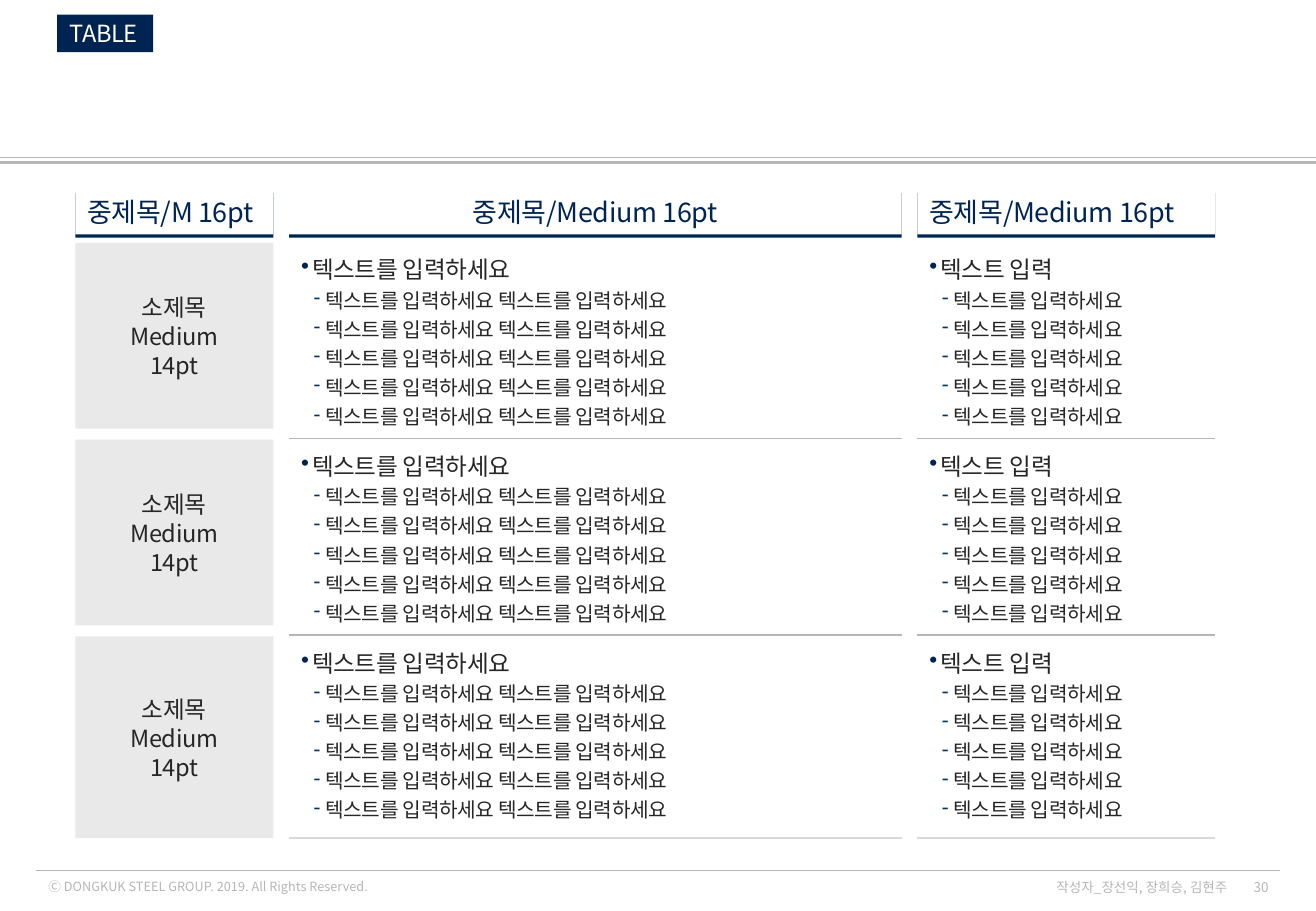
import pptx
import pptx.dml.color
import pptx.enum.shapes
import pptx.enum.text
import pptx.oxml
import pptx.oxml.ns
import pptx.util
from lxml import etree

FONT = "Noto Sans CJK KR"
NAVY, BLUE, INK = "002452", "003760", "262626"
GRAY, PALE, PANEL, WHITE = "B6B6B6", "D9D9D9", "E9E9E9", "FFFFFF"
WIDTH, HEIGHT = 10.83, 7.5

# Each column is a left edge and a width; rows share one pitch.
COLUMNS = [(0.62, 1.63), (2.38, 5.04), (7.55, 2.45)]
ROW_TOP, ROW_PITCH, ROW_COUNT = 2, 1.62, 3
ROW_HEIGHT, LAST_HEIGHT = 1.53, 1.66
HEADING_TOP, HEADING_HEIGHT = 1.56, 0.37
HEADINGS = ["중제목/M 16pt", "중제목/Medium 16pt", "중제목/Medium 16pt"]
LABEL = ["소제목", "Medium", "14pt"]
DETAIL = "텍스트를 입력하세요"
LISTS = [("텍스트를 입력하세요", f"{DETAIL} {DETAIL}"), ("텍스트 입력", DETAIL)]
DETAIL_COUNT = 5

ALIGN = pptx.enum.text.PP_ALIGN
ANCHOR = pptx.enum.text.MSO_ANCHOR


def color(value):
    return pptx.dml.color.RGBColor.from_string(value)


def inches(*lengths):
    return [pptx.util.Inches(length) for length in lengths]


def place(box, left, top, width, height):
    box.left, box.top, box.width, box.height = inches(left, top, width, height)


def add_bullet(para, mark, mark_color, margin, indent):
    properties = para._p.get_or_add_pPr()
    properties.set("marL", str(pptx.util.Inches(margin)))
    properties.set("indent", str(pptx.util.Inches(indent)))
    bullet_color = etree.SubElement(properties, pptx.oxml.ns.qn("a:buClr"))
    etree.SubElement(bullet_color, pptx.oxml.ns.qn("a:srgbClr"), val=mark_color)
    etree.SubElement(properties, pptx.oxml.ns.qn("a:buChar"), char=mark)


def write(para, text, size=14, ink=INK, align=ALIGN.LEFT, leading=None, spacing=-20):
    """Add one formatted span; leading is in points, spacing in hundredths of one."""
    para.alignment = align
    para.space_before = pptx.util.Pt(0)
    if leading:
        para.line_spacing = pptx.util.Pt(leading)
    span = para.add_run()
    span.text = text
    span.font.name = FONT
    span.font.size = pptx.util.Pt(size)
    span.font.bold = False
    span.font.color.rgb = color(ink)
    properties = span._r.get_or_add_rPr()
    properties.set("spc", str(spacing))
    etree.SubElement(properties, pptx.oxml.ns.qn("a:ea"), typeface=FONT)


def set_frame(box, anchor=ANCHOR.MIDDLE, wrap=True, top_inset=0.05):
    frame = box.text_frame
    frame.word_wrap = wrap
    frame.auto_size = pptx.enum.text.MSO_AUTO_SIZE.NONE
    frame.vertical_anchor = anchor
    frame.margin_left, frame.margin_right = inches(0.1, 0.1)
    frame.margin_top, frame.margin_bottom = inches(top_inset, 0.05)
    return frame


def add_text(slide, area, text, **style):
    frame = set_frame(slide.shapes.add_textbox(*inches(*area)))
    write(frame.paragraphs[0], text, **style)


def add_panel(slide, area, fill):
    panel = slide.shapes.add_shape(
        pptx.enum.shapes.MSO_SHAPE.RECTANGLE, *inches(*area))
    panel.shadow.inherit = False
    panel.fill.solid()
    panel.fill.fore_color.rgb = color(fill)
    panel.line.fill.background()
    return panel


def add_rule(slide, left, right, top, ink=GRAY, weight=1):
    rule = slide.shapes.add_connector(
        pptx.enum.shapes.MSO_CONNECTOR.STRAIGHT, *inches(left, top, right, top))
    rule.line.color.rgb = color(ink)
    rule.line.width = pptx.util.Pt(weight)
    etree.SubElement(rule._element.spPr, pptx.oxml.ns.qn("a:effectLst"))


def add_heading(slide, column, text, align):
    """Add a column heading underlined by a hard shadow two points below."""
    left, width = column
    panel = add_panel(slide, (left, HEADING_TOP, width, HEADING_HEIGHT), WHITE)
    effects = panel._element.spPr.find(pptx.oxml.ns.qn("a:effectLst"))
    shadow = etree.SubElement(
        effects, pptx.oxml.ns.qn("a:outerShdw"), blurRad="0",
        dist=str(pptx.util.Pt(2)), dir="5400000", algn="t", rotWithShape="0")
    etree.SubElement(shadow, pptx.oxml.ns.qn("a:srgbClr"), val=NAVY)
    frame = set_frame(panel, anchor=ANCHOR.BOTTOM)
    write(frame.paragraphs[0], text, size=16, ink=NAVY, align=align)


def add_label(slide, column, top, height):
    left, width = column
    frame = set_frame(add_panel(slide, (left, top, width, height), PANEL))
    for index, line in enumerate(LABEL):
        para = frame.add_paragraph() if index else frame.paragraphs[0]
        write(para, line, align=ALIGN.CENTER, leading=17.2)


def add_list(slide, column, top, title, detail):
    left, width = column
    box = slide.shapes.add_textbox(*inches(left, top, width, ROW_HEIGHT))
    frame = set_frame(box, anchor=ANCHOR.TOP, top_inset=0.04)
    add_bullet(frame.paragraphs[0], "•", NAVY, 0.09, -0.09)
    write(frame.paragraphs[0], title, leading=21)
    for _ in range(DETAIL_COUNT):
        para = frame.add_paragraph()
        para.level = 1
        add_bullet(para, "‐", BLUE, 0.2, -0.1)
        write(para, detail, size=12, leading=17.2)


def add_page_frame(slide):
    add_rule(slide, 0, WIDTH, 1.34, weight=1.5)
    add_rule(slide, 0, WIDTH, 1.3, weight=0.5)
    add_rule(slide, 0.3, WIDTH - 0.3, 7.17, weight=0.5)
    add_text(slide, (0.3, 7.18, 3.47, 0.23),
             "Ⓒ DONGKUK STEEL GROUP. 2019. All Rights Reserved.",
             size=7.5, ink=GRAY, spacing=0)
    small = dict(size=8, ink=GRAY, align=ALIGN.RIGHT, leading=9.5, spacing=0)
    add_text(slide, (10.13, 7.22, 0.41, 0.16), "30", **small)
    add_text(slide, (8.52, 7.22, 1.68, 0.16), "작성자_장선익, 장희승, 김현주", **small)


def add_tag(slide, text):
    tag = slide.shapes.title
    place(tag, 0.47, 0.12, 0.79, 0.31)
    tag.fill.solid()
    tag.fill.fore_color.rgb = color(NAVY)
    write(set_frame(tag, wrap=False).paragraphs[0], text, ink=WHITE)


def add_row(slide, row):
    top = ROW_TOP + row * ROW_PITCH
    last = row == ROW_COUNT - 1
    height = LAST_HEIGHT if last else ROW_HEIGHT
    rule_top = top + height if last else top + ROW_PITCH - 0.01
    add_label(slide, COLUMNS[0], top, height)
    for column, (title, detail) in zip(COLUMNS[1:], LISTS):
        left, width = column
        add_list(slide, column, top, title, detail)
        add_rule(slide, left, left + width, rule_top, ink=PALE if last else GRAY)


def main():
    deck = pptx.Presentation()
    deck.slide_width, deck.slide_height = inches(WIDTH, HEIGHT)
    slide = deck.slides.add_slide(deck.slide_layouts.get_by_name("Title Only"))
    add_page_frame(slide)
    add_tag(slide, "TABLE")
    for row in range(ROW_COUNT):
        add_row(slide, row)
    aligns = [ALIGN.LEFT, ALIGN.CENTER, ALIGN.LEFT]
    for column, text, align in zip(COLUMNS, HEADINGS, aligns):
        add_heading(slide, column, text, align)
    deck.save("out.pptx")


if __name__ == "__main__":
    main()
